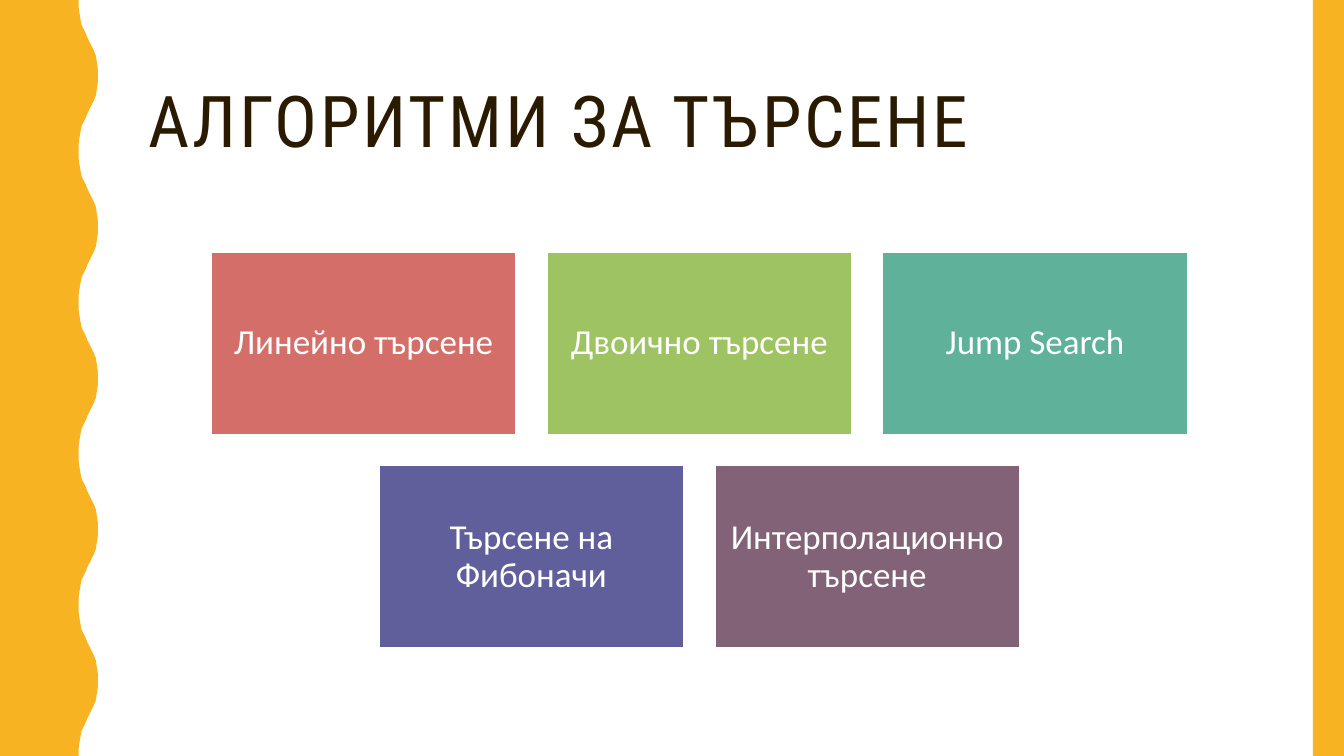
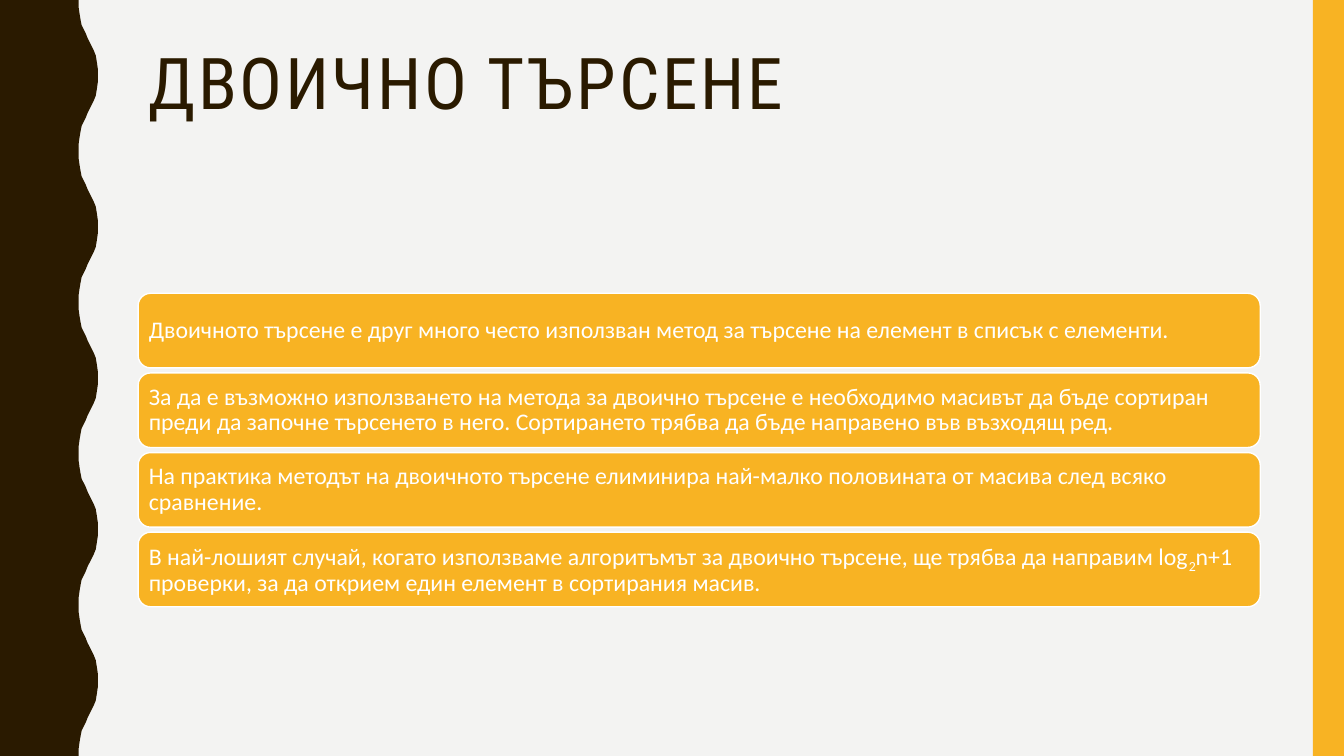
from pptx import Presentation
from pptx.dml.color import RGBColor
from pptx.enum.shapes import MSO_SHAPE
from pptx.enum.text import MSO_ANCHOR, MSO_AUTO_SIZE, PP_ALIGN
from pptx.util import Inches, Pt

RECT, ROUNDED = MSO_SHAPE.RECTANGLE, MSO_SHAPE.ROUNDED_RECTANGLE
TOP, MIDDLE = MSO_ANCHOR.TOP, MSO_ANCHOR.MIDDLE
LEFT, CENTER = PP_ALIGN.LEFT, PP_ALIGN.CENTER
NO_AUTOFIT = MSO_AUTO_SIZE.NONE

# Theme
WHITE = RGBColor(0xFF, 0xFF, 0xFF)
PALE_GREY = RGBColor(0xF3, 0xF3, 0xF2)
BROWN = RGBColor(0x2A, 0x1A, 0x00)
AMBER = RGBColor(0xF8, 0xB3, 0x23)
CORAL = RGBColor(0xD3, 0x6F, 0x68)
GREEN = RGBColor(0x9D, 0xC3, 0x62)
TEAL = RGBColor(0x5F, 0xB1, 0x9A)
INDIGO = RGBColor(0x61, 0x5F, 0x9B)
PLUM = RGBColor(0x82, 0x62, 0x76)
TITLE_FONT, BODY_FONT = "Roboto Condensed", "Calibri"

# Layout, in inches
SLIDE_W, SLIDE_H = 13.33, 7.5
BAND_W = 0.31
CONTENT_X, CONTENT_W = 1.37, 11.13
TITLE_Y, TITLE_H = 0.42, 1.63
WAVE_PERIOD = 1.5
# Half a wave, from trough to crest, as (x, y)
HALF_WAVE = [
    (0.78, 0), (0.78, 0.07), (0.79, 0.14), (0.8, 0.2), (0.81, 0.25),
    (0.83, 0.29), (0.85, 0.33), (0.87, 0.38), (0.89, 0.42), (0.91, 0.46),
    (0.93, 0.5), (0.95, 0.55), (0.96, 0.61), (0.97, 0.68), (0.97, 0.75),
]

# Content
ALGORITHM_ROWS = [
    [("Линейно търсене", CORAL), ("Двоично търсене", GREEN), ("Jump Search", TEAL)],
    [("Търсене на Фибоначи", INDIGO), ("Интерполационно търсене", PLUM)],
]
# Each statement is a list of (text, is_subscript)
BINARY_SEARCH_FACTS = [
    [("Двоичното търсене е друг много често използван метод за търсене на "
      "елемент в списък с елементи.", False)],
    [("За да е възможно използването на метода за двоично търсене е необходимо "
      "масивът да бъде сортиран преди да започне търсенето в него. Сортирането "
      "трябва да бъде направено във възходящ ред.", False)],
    [("На практика методът на двоичното търсене елиминира най-малко половината "
      "от масива след всяко сравнение.", False)],
    [("В най-лошият случай, когато използваме алгоритъмът за двоично търсене, "
      "ще трябва да направим log", False),
     ("2", True),
     ("n+1 проверки, за да открием един елемент в сортирания масив.", False)],
]


def paint(shape, fill, line=None):
    shape.shadow.inherit = False
    shape.fill.solid()
    shape.fill.fore_color.rgb = fill
    if line is None:
        shape.line.fill.background()
    else:
        shape.line.color.rgb = line
        shape.line.width = Pt(1)


def add_run(paragraph, text, font, size, color):
    run = paragraph.add_run()
    run.text = text
    run.font.name = font
    run.font.size = Pt(size)
    run.font.color.rgb = color
    return run._r.get_or_add_rPr()


def add_wave(slide, color):
    """Left band with a wavy right edge."""
    crest_down = [(x, WAVE_PERIOD - y) for x, y in HALF_WAVE[-2::-1]]
    wave = HALF_WAVE + crest_down
    edge = [(x, y + i * WAVE_PERIOD)
            for i in range(round(SLIDE_H / WAVE_PERIOD)) for x, y in wave]
    outline = slide.shapes.build_freeform(0, 0)
    outline.add_line_segments(
        [(Inches(x), Inches(y)) for x, y in edge + [(0, SLIDE_H)]], close=True)
    paint(outline.convert_to_shape(), color)


def add_title(slide, text, anchor):
    title = slide.shapes.title
    title.left, title.top = Inches(CONTENT_X), Inches(TITLE_Y)
    title.width, title.height = Inches(CONTENT_W), Inches(TITLE_H)
    frame = title.text_frame
    frame.auto_size = NO_AUTOFIT
    frame.word_wrap = True
    frame.vertical_anchor = anchor
    paragraph = frame.paragraphs[0]
    paragraph.alignment = LEFT
    paragraph.line_spacing = 0.9
    add_run(paragraph, text, TITLE_FONT, 51, BROWN).set("spc", "200")


def add_themed_slide(prs, title, background, wave_color, title_anchor):
    slide = prs.slides.add_slide(prs.slide_layouts[5])
    slide.background.fill.solid()
    slide.background.fill.fore_color.rgb = background
    add_wave(slide, wave_color)
    right_band = slide.shapes.add_shape(
        RECT, Inches(SLIDE_W - BAND_W), 0, Inches(BAND_W), Inches(SLIDE_H))
    paint(right_band, AMBER)
    add_title(slide, title, title_anchor)
    return slide


def add_card(slide, preset, box, fill, parts, size, align, inset):
    card = slide.shapes.add_shape(preset, *[Inches(v) for v in box])
    paint(card, fill, WHITE)
    frame = card.text_frame
    frame.word_wrap = True
    frame.vertical_anchor = MIDDLE
    frame.margin_left = frame.margin_right = Inches(inset)
    frame.margin_top = frame.margin_bottom = Inches(inset)
    paragraph = frame.paragraphs[0]
    paragraph.alignment = align
    paragraph.line_spacing = 0.9
    for text, is_subscript in parts:
        properties = add_run(paragraph, text, BODY_FONT, size, WHITE)
        if is_subscript:
            properties.set("baseline", "-25000")


def add_algorithm_grid(slide):
    """Rows of equal cards, each row centred on the content area."""
    top, width, height, gap = 2.5, 3.02, 1.81, 0.31
    center = CONTENT_X + CONTENT_W / 2
    for row, algorithms in enumerate(ALGORITHM_ROWS):
        count = len(algorithms)
        left = center - (count * width + (count - 1) * gap) / 2
        for column, (name, color) in enumerate(algorithms):
            box = (left + column * (width + gap), top + row * (height + gap),
                   width, height)
            add_card(slide, RECT, box, color, [(name, False)], 25, CENTER, 0.1)


def add_fact_stack(slide):
    top, height, gap = 2.91, 0.74, 0.05
    for i, parts in enumerate(BINARY_SEARCH_FACTS):
        box = (CONTENT_X, top + i * (height + gap), CONTENT_W, height)
        add_card(slide, ROUNDED, box, AMBER, parts, 17, LEFT, 0.07)


def main():
    prs = Presentation()
    prs.slide_width, prs.slide_height = Inches(SLIDE_W), Inches(SLIDE_H)

    # Overview of the algorithms
    overview = add_themed_slide(prs, "АЛГОРИТМИ ЗА ТЪРСЕНЕ", WHITE, AMBER, MIDDLE)
    add_algorithm_grid(overview)

    # Binary search
    binary_search = add_themed_slide(prs, "ДВОИЧНО ТЪРСЕНЕ", PALE_GREY, BROWN, TOP)
    add_fact_stack(binary_search)

    prs.save("out.pptx")


if __name__ == "__main__":
    main()
